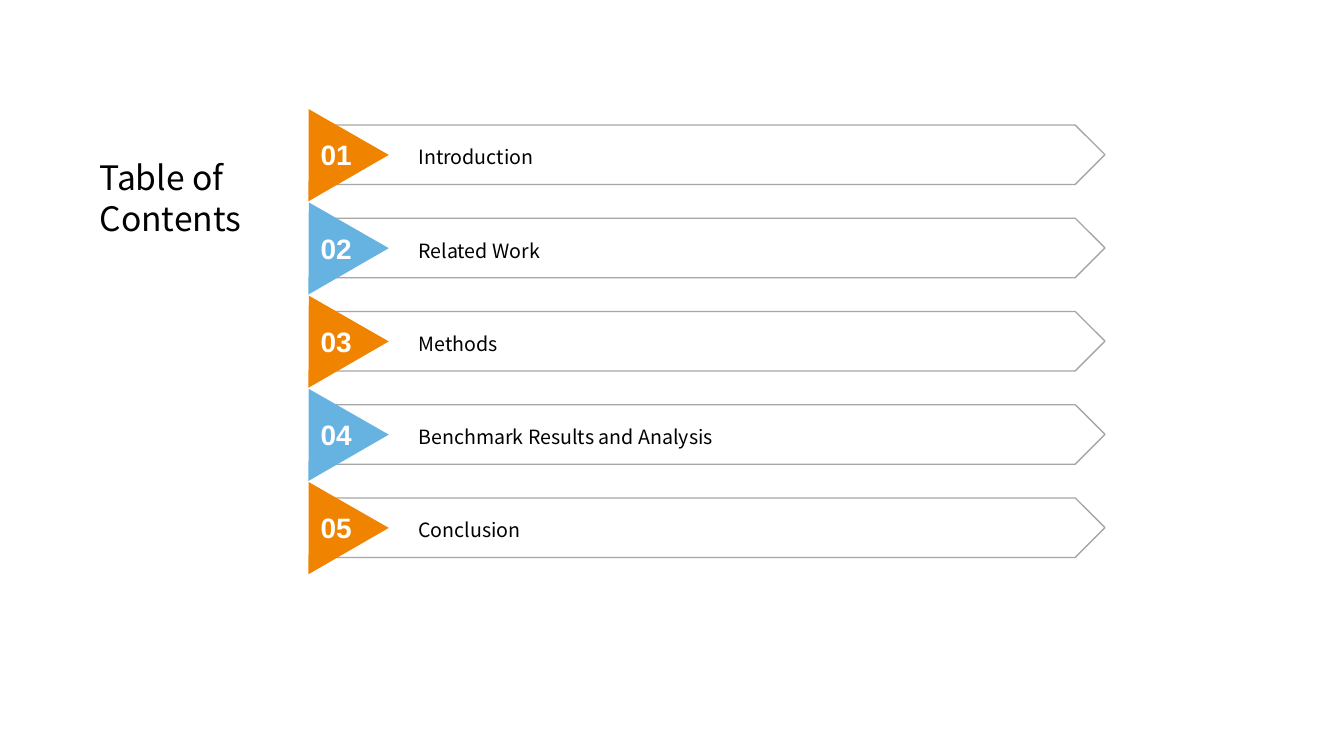
from dataclasses import dataclass
from pptx import Presentation, util as u
from pptx.dml.color import RGBColor
from pptx.enum import shapes, text


@dataclass(frozen=True)
class Theme:
    ink: str = "000000"
    white: str = "FFFFFF"
    edge: str = "A6A6A6"
    accents: tuple = ("F08300", "66B3E1")
    sans: str = "Noto Sans CJK SC"
    digit: str = "Arial"
    title: int = 24
    number: int = 20
    entry: int = 14


THEME = Theme()
TOPICS = ("Introduction", "Related Work", "Methods",
          "Benchmark Results and Analysis", "Conclusion")
TOP = 1.24
PITCH = 3.7 / 4


def color(code):
    return RGBColor.from_string(code)


def write(shape, words, size, font=THEME.sans, ink=THEME.ink, bold=False,
          align=text.PP_ALIGN.LEFT, anchor=text.MSO_ANCHOR.MIDDLE,
          spacing=None, inset=0.1, wrap=True):
    frame = shape.text_frame
    frame.word_wrap = wrap
    frame.vertical_anchor = anchor
    frame.margin_left = u.Inches(inset)
    para = frame.paragraphs[0]
    para.alignment = align
    para.line_spacing = spacing
    run = para.add_run()
    run.text = words
    run.font.name = font
    run.font.size = u.Pt(size)
    run.font.bold = bold
    run.font.color.rgb = color(ink)


def add_label(slide, box, words, size, **style):
    label = slide.shapes.add_textbox(*map(u.Inches, box))
    write(label, words, size, **style)


def add_form(slide, kind, box, fill=None, line=None):
    form = slide.shapes.add_shape(kind, *map(u.Inches, box))
    form.shadow.inherit = False
    if fill:
        form.fill.solid()
        form.fill.fore_color.rgb = color(fill)
    else:
        form.fill.background()
    if line:
        form.line.color.rgb = color(line)
        form.line.width = u.Pt(1)
    else:
        form.line.fill.background()
    return form


def add_entry(slide, index, topic):
    top = TOP + index * PITCH
    banner = add_form(slide, shapes.MSO_SHAPE.PENTAGON,
                      (3.26, top, 7.7, 0.59), line=THEME.edge)
    write(banner, topic, THEME.entry, spacing=1.2, inset=0.89)
    accent = THEME.accents[index % len(THEME.accents)]
    marker = add_form(slide, shapes.MSO_SHAPE.ISOSCELES_TRIANGLE,
                      (2.8, top - 0.21, 0.92, 0.79), fill=accent)
    marker.rotation = 330
    add_label(slide, (3.08, top + 0.06, 0.51, 0.47), f"{index + 1:02}",
              THEME.number, font=THEME.digit, ink=THEME.white, bold=True,
              align=text.PP_ALIGN.CENTER, wrap=False)


def main():
    deck = Presentation()
    deck.slide_width = u.Inches(13.33)
    deck.slide_height = u.Inches(7.5)
    slide = deck.slides.add_slide(deck.slide_layouts[6])
    for index, topic in enumerate(TOPICS):
        add_entry(slide, index, topic)
    add_label(slide, (0.89, 1.51, 2.24, 0.4), "Table of Contents",
              THEME.title, anchor=text.MSO_ANCHOR.TOP)
    deck.save("out.pptx")


if __name__ == "__main__":
    main()
